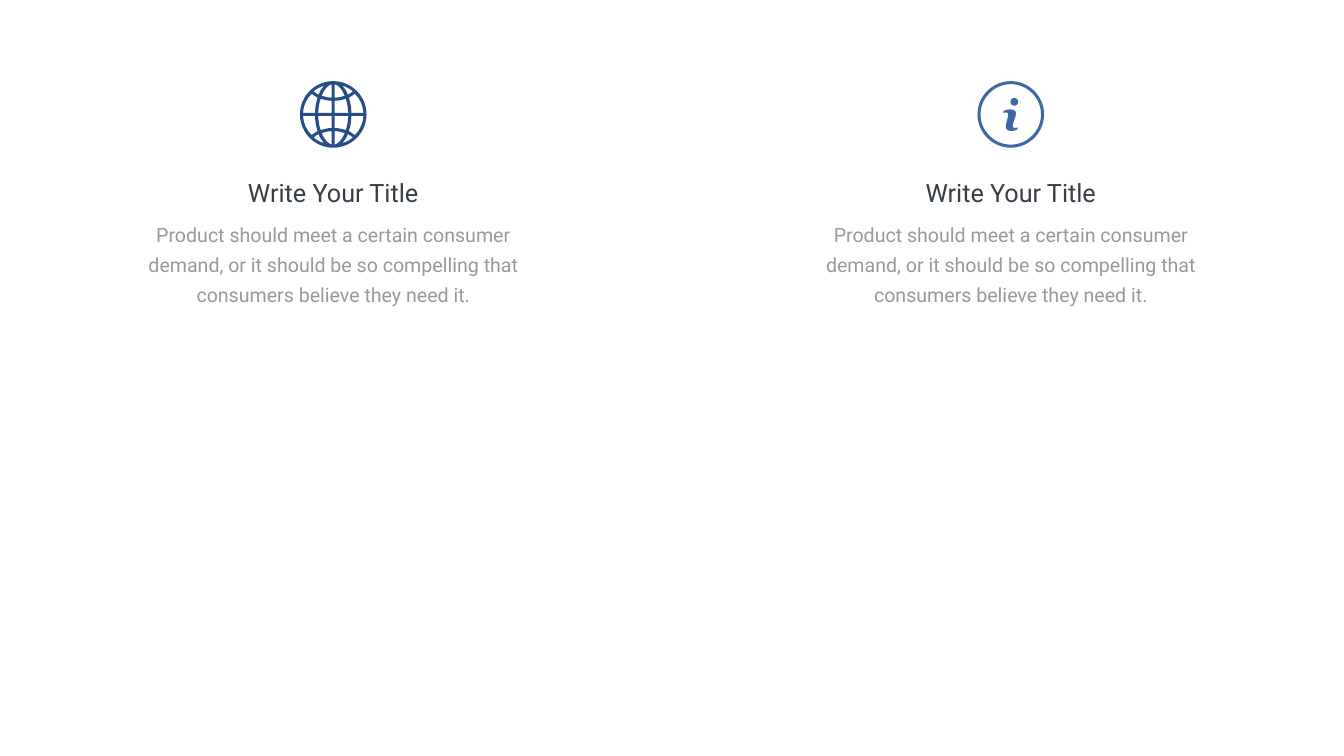
"""Build a slide with two titled feature columns, each topped by a drawn icon."""
from itertools import cycle, product

from lxml.etree import SubElement
from pptx import Presentation
from pptx.dml.color import RGBColor
from pptx.enum.text import MSO_AUTO_SIZE as AutoSize, PP_ALIGN as Align
from pptx.oxml.ns import qn
from pptx.util import Inches, Pt

SLIDE_W, SLIDE_H = 26.66, 15
COLUMN_OFFSET = 6.72
ICON_MIDDLE = 2.27
ICON_UNIT = 0.01
ARC_HANDLE = 0.55
FONT = "Roboto"

TITLE = "Write Your Title"
BODY = ("Product should meet a certain consumer demand, or it should be so "
        "compelling that consumers believe they need it.")
TITLE_STYLE = dict(top=3.47, width=6.1, height=0.71, size=36, color="363E48")
BODY_STYLE = dict(top=4.17, width=8.06, height=2, size=28, color="999999",
                  spacing=43, insets=(0.24, 0.12))

GLOBE_QUADRANT = [
    [(3, 3), (30, 3), (29, 13, 28, 23, 25, 31), (18, 29, 11, 27, 3, 27)],
    [(36, 3), (60, 3), (59, 18, 53, 31, 43, 41), (39, 38, 35, 36, 31, 33),
     (34, 24, 36, 14, 36, 3)],
    [(3, 60), (3, 33), (10, 33, 17, 35, 23, 37), (18, 49, 11, 58, 3, 60)],
    [(18, 57), (22, 53, 26, 47, 29, 39), (33, 41, 36, 43, 39, 46),
     (33, 51, 25, 55, 18, 57)],
]
INFO_STEM = [
    (9, 27), (3, 27, 3, 24, 5, 17), (9, 5), (13, -5, 9, -10, -1, -10),
    (-5, -10, -9, -9, -14, -7), (-15, -3), (-8, -5, -3, -5, -6, 6), (-9, 18),
    (-12, 28, -8, 33, 1, 33), (5, 33, 8, 32, 13, 30), (14, 26),
    (12, 27, 11, 27, 9, 27),
]


def rgb(color):
    """Return a colour from its hex string."""
    return RGBColor.from_string(color)


def transform(outline, scale, shift=(0, 0)):
    """Scale and shift every x and y of an outline."""
    return [tuple(value * factor + move for value, factor, move
                  in zip(segment, cycle(scale), cycle(shift)))
            for segment in outline]


def circle(radius, x=0, y=0):
    """Return a circle as four cubic arcs."""
    k = ARC_HANDLE
    unit = [(1, 0), (1, k, k, 1, 0, 1), (-k, 1, -1, k, -1, 0),
            (-1, -k, -k, -1, 0, -1), (k, -1, 1, -k, 1, 0)]
    return transform(unit, (radius, radius), (x, y))


def globe():
    """Return the globe's rim and its mirrored windows."""
    mirrors = product((1, -1), repeat=2)
    return [circle(66)] + [transform(window, mirror)
                           for mirror in mirrors for window in GLOBE_QUADRANT]


def info():
    """Return the ring, dot and stem of the information sign."""
    return [circle(66), circle(60), circle(8, 7, -25), INFO_STEM]


def bend(icon, segments):
    """Turn the lines that carry handles into cubic curves."""
    lines = list(icon.element.iter(qn("a:lnTo")))
    for line, segment in zip(lines, segments):
        if len(segment) == 6:
            line.tag = qn("a:cubicBezTo")
            end = line[0]
            for x, y in (segment[:2], segment[2:4]):
                SubElement(line, qn("a:pt"), x=str(round(x - icon.left)),
                           y=str(round(y - icon.top)))
            line.append(end)


def add_icon(slide, center, outlines, color):
    """Draw all outlines as one filled freeform."""
    unit = Inches(ICON_UNIT)
    middle = (Inches(center), Inches(ICON_MIDDLE))
    placed = [transform(outline, (unit, unit), middle) for outline in outlines]
    builder = slide.shapes.build_freeform(*placed[0][0])
    for index, (start, *segments) in enumerate(placed):
        if index:
            builder.move_to(*start)
        builder.add_line_segments([segment[-2:] for segment in segments])
    icon = builder.convert_to_shape()
    bend(icon, [segment for outline in placed for segment in outline[1:]])
    icon.shadow.inherit = False
    icon.fill.solid()
    icon.fill.fore_color.rgb = rgb(color)
    icon.line.fill.background()


def add_text(slide, center, wording, top, width, height, size, color,
             spacing=None, insets=(0.1, 0.05)):
    """Add a centred text box around a column's centre."""
    box = slide.shapes.add_textbox(Inches(center - width / 2), Inches(top),
                                   Inches(width), Inches(height))
    frame = box.text_frame
    frame.word_wrap = True
    frame.auto_size = AutoSize.SHAPE_TO_FIT_TEXT
    frame.margin_left = frame.margin_right = Inches(insets[0])
    frame.margin_top = frame.margin_bottom = Inches(insets[1])
    paragraph = frame.paragraphs[0]
    paragraph.alignment = Align.CENTER
    if spacing:
        paragraph.line_spacing = Pt(spacing)
    run = paragraph.add_run()
    run.text = wording
    run.font.name = FONT
    run.font.size = Pt(size)
    run.font.color.rgb = rgb(color)


def main():
    """Lay out both columns and save the slide."""
    deck = Presentation()
    deck.slide_width, deck.slide_height = Inches(SLIDE_W), Inches(SLIDE_H)
    slide = deck.slides.add_slide(deck.slide_layouts[6])
    slide.background.fill.solid()
    slide.background.fill.fore_color.rgb = rgb("FFFFFF")
    columns = [(-1, globe(), "264D89"), (1, info(), "3E67AA")]
    for side, outlines, color in columns:
        center = SLIDE_W / 2 + side * COLUMN_OFFSET
        add_text(slide, center, BODY, **BODY_STYLE)
        add_text(slide, center, TITLE, **TITLE_STYLE)
        add_icon(slide, center, outlines, color)
    deck.save("out.pptx")


if __name__ == "__main__":
    main()
